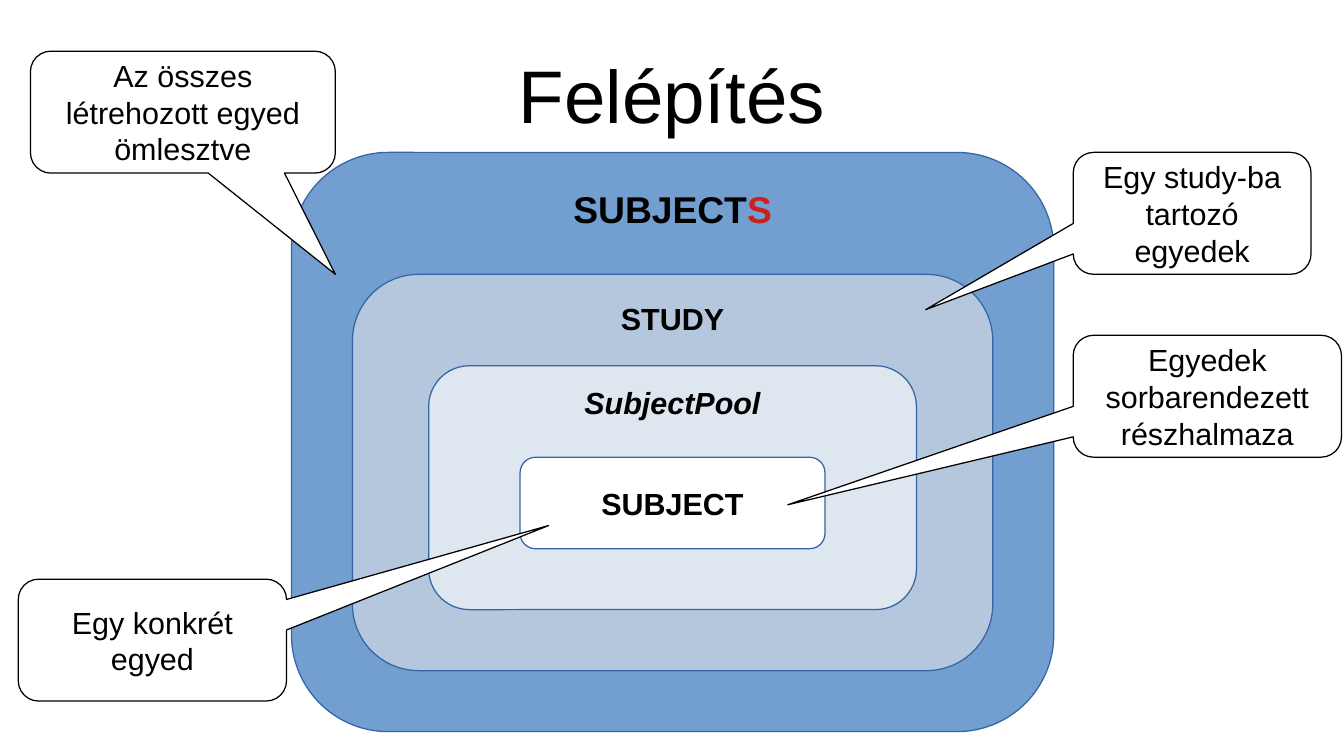
from pptx import Presentation
from pptx.dml.color import RGBColor
from pptx.enum.shapes import MSO_SHAPE
from pptx.enum.text import MSO_ANCHOR, PP_ALIGN
from pptx.util import Inches, Pt

ROUNDED = MSO_SHAPE.ROUNDED_RECTANGLE
CALLOUT = MSO_SHAPE.ROUNDED_RECTANGULAR_CALLOUT
TOP, MIDDLE = MSO_ANCHOR.TOP, MSO_ANCHOR.MIDDLE
CENTER = PP_ALIGN.CENTER

COLORS = {
    "black": "000000",
    "white": "FFFFFF",
    "red": "C9211E",
    "outline": "3465A4",
    "subjects": "729FCF",
    "study": "B4C7DC",
    "pool": "DEE6EF",
}
FONT = "Arial"
CORNER = 0.167
NEST_CENTER = 5.515
TITLE = "Felépítés"

# top, width, height, fill, anchor, size, italic, text runs with colours
LEVELS = [
    (1.25, 6.25, 4.75, "subjects", TOP, 22, False, [("SUBJECT", "black"), ("S", "red")]),
    (2.25, 5.25, 3.25, "study", TOP, 18, False, [("STUDY", "black")]),
    (3, 4, 2, "pool", TOP, 18, True, [("SubjectPool", "black")]),
    (3.75, 2.5, 0.75, "white", MIDDLE, 18, False, [("SUBJECT", "black")]),
]
# left, top, width, height, tip position, text
CALLOUTS = [
    (0.25, 0.42, 2.5, 1, (2.75, 2.25), "Az összes létrehozott egyed ömlesztve"),
    (8.8, 1.25, 1.95, 1, (7.59, 2.54), "Egy study-ba tartozó egyedek"),
    (8.8, 2.75, 2.2, 1, (6.46, 4.14), "Egyedek sorbarendezett részhalmaza"),
    (0.15, 4.75, 2.2, 1, (4.5, 4.31), "Egy konkrét egyed"),
]


def color(name):
    return RGBColor.from_string(COLORS[name])


def write_text(shape, runs, size, anchor=MIDDLE, bold=False, italic=False):
    frame = shape.text_frame
    frame.word_wrap = True
    frame.vertical_anchor = anchor
    paragraph = frame.paragraphs[0]
    paragraph.alignment = CENTER
    for text, color_name in runs:
        run = paragraph.add_run()
        run.text = text
        run.font.name = FONT
        run.font.size = Pt(size)
        run.font.bold = bold
        run.font.italic = italic
        run.font.color.rgb = color(color_name)


def add_box(slide, kind, left, top, width, height, fill, outline):
    shape = slide.shapes.add_shape(kind, Inches(left), Inches(top), Inches(width), Inches(height))
    shape.shadow.inherit = False
    shape.fill.solid()
    shape.fill.fore_color.rgb = color(fill)
    shape.line.color.rgb = color(outline)
    shape.line.width = Pt(0)
    return shape


def add_title(slide):
    title = slide.shapes.add_textbox(Inches(0.55), Inches(0.25), Inches(9.92), Inches(1.03))
    frame = title.text_frame
    frame.margin_left = frame.margin_right = frame.margin_top = frame.margin_bottom = 0
    write_text(title, [(TITLE, "black")], 44)


def add_level(slide, top, width, height, fill, anchor, size, italic, runs):
    left = NEST_CENTER - width / 2
    shape = add_box(slide, ROUNDED, left, top, width, height, fill, "outline")
    shape.adjustments[0] = CORNER
    write_text(shape, runs, size, anchor, True, italic)


def add_callout(slide, left, top, width, height, tip, text):
    shape = add_box(slide, CALLOUT, left, top, width, height, "white", "black")
    shape.adjustments[0] = (tip[0] - left) / width - 0.5
    shape.adjustments[1] = (tip[1] - top) / height - 0.5
    shape.adjustments[2] = CORNER
    write_text(shape, [(text, "black")], 18)


def main():
    presentation = Presentation()
    presentation.slide_width = Inches(11.02)
    presentation.slide_height = Inches(6.2)
    slide = presentation.slides.add_slide(presentation.slide_layouts[6])
    add_title(slide)
    for level in LEVELS:
        add_level(slide, *level)
    for callout in CALLOUTS:
        add_callout(slide, *callout)
    presentation.save("out.pptx")


if __name__ == "__main__":
    main()
